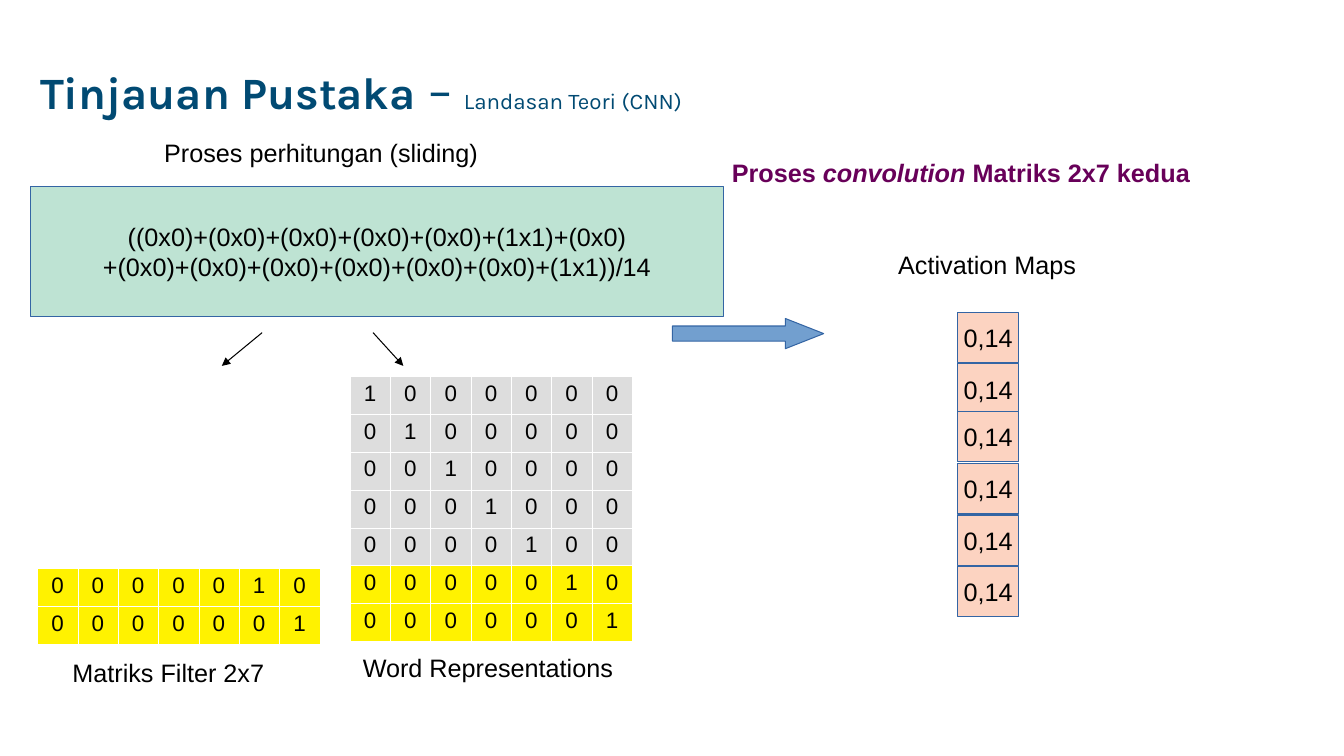
from pptx import Presentation, util as u
from pptx.dml.color import RGBColor
from pptx.enum import shapes, text
from pptx.oxml import parse_xml
from pptx.oxml.ns import nsdecls

# Colours
NAVY = RGBColor(0x01, 0x4A, 0x73)
PLUM = RGBColor(0x68, 0x00, 0x59)
BLACK = RGBColor(0x00, 0x00, 0x00)
GREY = RGBColor(0xDD, 0xDD, 0xDD)
YELLOW = RGBColor(0xFF, 0xF2, 0x00)
MINT = RGBColor(0xBE, 0xE3, 0xD3)
PEACH = RGBColor(0xFC, 0xD3, 0xC1)
BLUE = RGBColor(0x72, 0x9F, 0xCF)
EDGE = RGBColor(0x34, 0x65, 0xA4)

# Grid of square units, ten to the inch
UNIT = 0.1
CELL_W, CELL_H = 4, 3.76
SIDE = 7


def grid(*units):
    return [u.Inches(n * UNIT) for n in units]


def write(para, words, size=18, font="Arial", color=BLACK, bold=False, italic=False):
    run = para.add_run()
    run.text = words
    style = run.font
    style.size, style.name = u.Pt(size), font
    style.bold, style.italic = bold, italic
    style.color.rgb = color


class Page:
    def __init__(self, deck):
        self.items = deck.slides.add_slide(deck.slide_layouts[6]).shapes

    def label(self, box, *runs, middle=False, spacing=None):
        """Left-aligned text; each run is (words, format)."""
        frame = self.items.add_textbox(*grid(*box)).text_frame
        frame.word_wrap = True
        if middle:
            frame.vertical_anchor = text.MSO_ANCHOR.MIDDLE
        para = frame.paragraphs[0]
        para.line_spacing = spacing
        for words, style in runs:
            write(para, words, **style)

    def block(self, box, fill, lines=(), kind=shapes.MSO_SHAPE.RECTANGLE):
        """Outlined shape with centred lines of text."""
        shape = self.items.add_shape(kind, *grid(*box))
        shape.shadow.inherit = False
        shape.fill.solid()
        shape.fill.fore_color.rgb = fill
        shape.line.color.rgb = EDGE
        shape.line.width = u.Pt(0.75)
        frame = shape.text_frame
        frame.word_wrap = False
        frame.vertical_anchor = text.MSO_ANCHOR.MIDDLE
        for i, line in enumerate(lines):
            para = frame.add_paragraph() if i else frame.paragraphs[0]
            para.alignment = text.PP_ALIGN.CENTER
            write(para, line)
        return shape

    def arrow(self, *ends):
        line = self.items.add_connector(shapes.MSO_CONNECTOR.STRAIGHT, *grid(*ends))
        line.line.color.rgb = BLACK
        line.line.width = u.Pt(0.75)
        line.line._get_or_add_ln().append(
            parse_xml(f'<a:tailEnd {nsdecls("a")} type="triangle"/>'))
        line._element.spPr.append(parse_xml(f'<a:effectLst {nsdecls("a")}/>'))

    def matrix(self, left, top, rows, fills):
        size = grid(left, top, CELL_W * SIDE, CELL_H * len(rows))
        table = self.items.add_table(len(rows), SIDE, *size).table
        table.first_row = table.horz_banding = False
        for r, row in enumerate(rows):
            for c, value in enumerate(row):
                cell = table.cell(r, c)
                self.border(cell)
                cell.fill.solid()
                cell.fill.fore_color.rgb = fills[r]
                para = cell.text_frame.paragraphs[0]
                para.alignment = text.PP_ALIGN.CENTER
                write(para, str(value), size=16)

    def border(self, cell):
        props = cell._tc.get_or_add_tcPr()
        for side in "LRTB":
            props.append(parse_xml(
                f'<a:ln{side} {nsdecls("a")} w="{u.Pt(0.06)}"><a:solidFill>'
                f'<a:srgbClr val="FFFFFF"/></a:solidFill></a:ln{side}>'))


def main():
    deck = Presentation()
    deck.slide_width, deck.slide_height = u.Inches(13.33), u.Inches(7.5)
    page = Page(deck)

    # Title
    head = dict(font="Karla", color=NAVY)
    page.label((3, 2, 78, 14.5),
               ("Tinjauan Pustaka", dict(head, size=32, bold=True)),
               (" – ", dict(head, size=36)),
               ("Landasan Teori (CNN)", dict(head, size=16)),
               middle=True, spacing=0.9)

    # Word matrix, whose last two rows match the filter
    words = [[int(r == c) for c in range(SIDE)] for r in range(SIDE)]
    page.matrix(34.7, 37.3, words, [GREY] * 5 + [YELLOW] * 2)
    page.matrix(3.7, 56.4, words[-2:], [YELLOW] * 2)

    # Calculation and the arrows around it
    page.block((3, 18.5, 68.8, 12.9), MINT,
               ("((0x0)+(0x0)+(0x0)+(0x0)+(0x0)+(1x1)+(0x0)",
                "+(0x0)+(0x0)+(0x0)+(0x0)+(0x0)+(0x0)+(1x1))/14"))
    page.arrow(26, 33, 22, 36.3)
    page.arrow(37, 33, 40, 36.3)
    big = page.block((66.7, 31.6, 15, 3), BLUE, kind=shapes.MSO_SHAPE.RIGHT_ARROW)
    big.adjustments[0], big.adjustments[1] = 0.5, 1.27

    # Activation maps
    for top in (31, 36.1, 40.8, 46, 51.1, 56.2):
        page.block((95, top, 6, 5), PEACH, ["0,14"])

    # Captions
    for left, top, width, words in (
            (6.2, 64.7, 23.8, "Matriks Filter 2x7"),
            (35, 64.2, 30, "Word Representations"),
            (15.3, 13.1, 39.5, "Proses perhitungan (sliding)"),
            (88.1, 24.2, 22.9, "Activation Maps")):
        page.label((left, top, width, 3.8), (words, {}))
    strong = dict(color=PLUM, bold=True)
    page.label((71.6, 15.1, 58.5, 6.6),
               ("Proses ", strong),
               ("convolution", dict(strong, italic=True)),
               (" Matriks 2x7 kedua", strong))

    deck.save("out.pptx")


if __name__ == "__main__":
    main()
